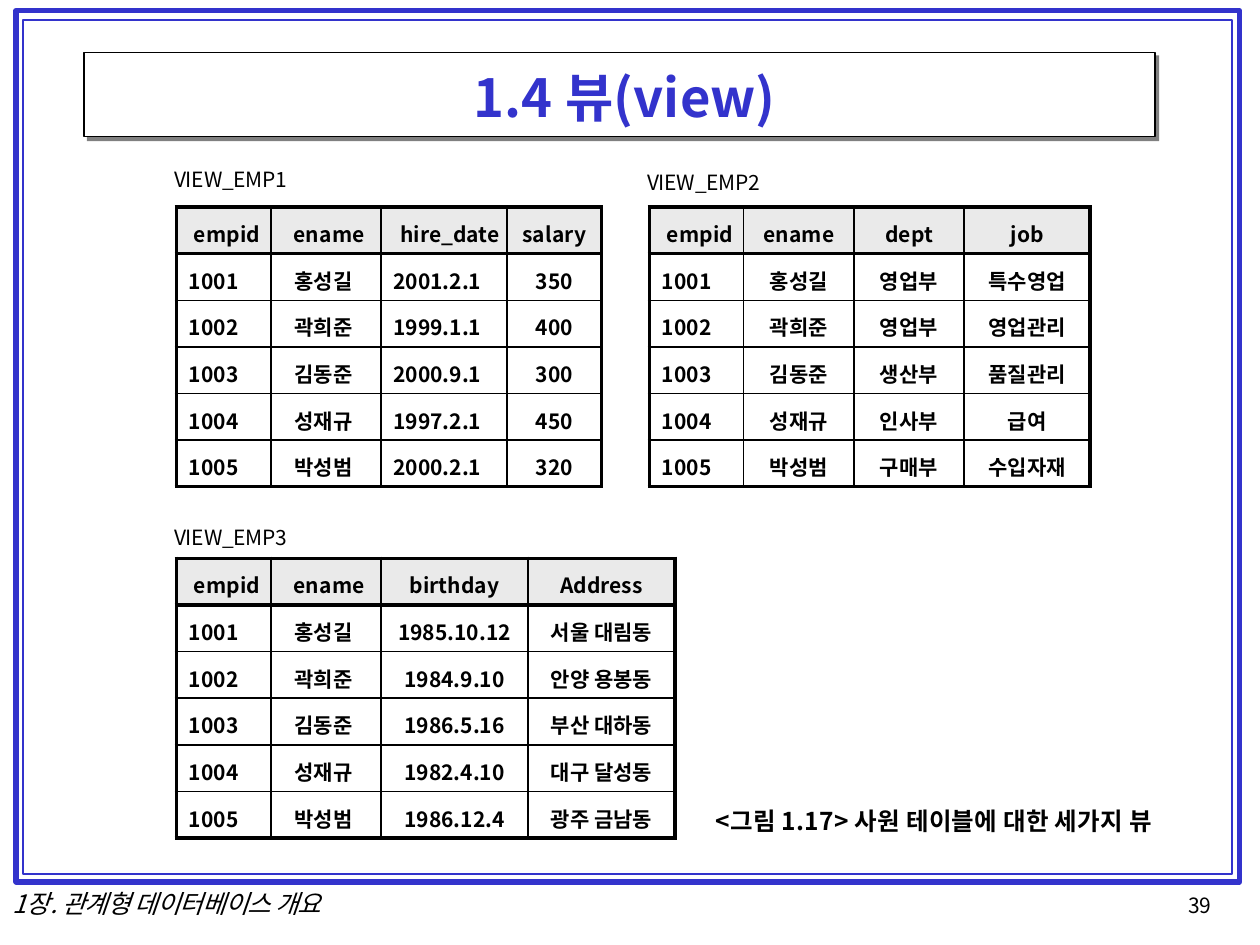
from collections import namedtuple

from pptx import Presentation
from pptx.dml.color import RGBColor
from pptx.enum import shapes, text
from pptx.oxml.ns import qn
from pptx.util import Pt
from lxml import etree

BLUE = RGBColor(0x33, 0x33, 0xCC)
BLACK = RGBColor(0x00, 0x00, 0x00)
SHADOW = RGBColor(0x80, 0x80, 0x80)
HEADER = RGBColor(0xEA, 0xEA, 0xEA)
FONT = "Noto Sans CJK KR"
THICK, THIN = 2.25, 1
ROW_HEIGHT = 26.65

# Indents are in points; None centres the text.
Column = namedtuple("Column", "title width values head_indent indent spacing",
                    defaults=(None, None, 0.1))

IDS = ["1001", "1002", "1003", "1004", "1005"]
NAMES = ["홍성길", "곽희준", "김동준", "성재규", "박성범"]
EMPID = Column("empid", 54, IDS, 10, 7)
ENAME = Column("ename", 63, NAMES, 13, 13.5)

VIEW_EMP1 = [
    EMPID, ENAME,
    Column("hire_date", 72,
           ["2001.2.1", "1999.1.1", "2000.9.1", "1997.2.1", "2000.2.1"], 11, 7, 0),
    Column("salary", 54, ["350", "400", "300", "450", "320"]),
]
VIEW_EMP2 = [
    EMPID, ENAME._replace(head_indent=None, indent=None),
    Column("dept", 63, ["영업부", "영업부", "생산부", "인사부", "구매부"]),
    Column("job", 72, ["특수영업", "영업관리", "품질관리", "급여", "수입자재"]),
]
VIEW_EMP3 = [
    EMPID, ENAME,
    Column("birthday", 84,
           ["1985.10.12", "1984.9.10", "1986.5.16", "1982.4.10", "1986.12.4"],
           spacing=0),
    Column("Address", 84,
           ["서울 대림동", "안양 용봉동", "부산 대하동", "대구 달성동", "광주 금남동"],
           spacing=0),
]


def write(tf, words, indent=0, spacing=0, color=BLACK, line=None, **fmt):
    """Fill the first paragraph; an indent of None centres it."""
    p = tf.paragraphs[0]
    p.alignment = text.PP_ALIGN.CENTER if indent is None else text.PP_ALIGN.LEFT
    if indent:
        p._p.get_or_add_pPr().set("marL", str(Pt(indent)))
    if line:
        p.line_spacing = Pt(line)
    r = p.add_run()
    r.text = words
    for key, value in {"name": FONT, **fmt}.items():
        setattr(r.font, key, value)
    r.font.color.rgb = color
    rPr = r._r.get_or_add_rPr()
    rPr.set("spc", str(round(spacing * 100)))
    rPr.find(qn("a:latin")).addnext(
        rPr.makeelement(qn("a:ea"), {"typeface": FONT}))


def set_frame(tf, top=0):
    tf.word_wrap = True
    tf.auto_size = text.MSO_AUTO_SIZE.NONE
    tf.vertical_anchor = text.MSO_ANCHOR.TOP
    for side, value in {"left": 0, "top": top, "right": 0, "bottom": 0}.items():
        setattr(tf, f"margin_{side}", Pt(value))


def add_label(s, box, words, top=1, **fmt):
    tf = s.shapes.add_textbox(*map(Pt, box)).text_frame
    set_frame(tf, top)
    write(tf, words, **fmt)


def add_outline(s, box, color, width):
    sp = s.shapes.add_shape(shapes.MSO_SHAPE.RECTANGLE, *map(Pt, box))
    sp.shadow.inherit = False
    sp.fill.background()
    sp.line.color.rgb = color
    sp.line.width = Pt(width)


def add_title_shadow(s):
    """Grey edge along the right and bottom of the title box."""
    points = [(662.4, 31.7), (662.4, 80.6), (49.7, 80.6),
              (49.7, 78), (660.2, 78), (660.2, 31.7)]
    builder = s.shapes.build_freeform(*map(Pt, points[0]), scale=1.0)
    builder.add_line_segments([(Pt(x), Pt(y)) for x, y in points[1:]], close=True)
    sp = builder.convert_to_shape()
    sp.shadow.inherit = False
    sp.fill.solid()
    sp.fill.fore_color.rgb = SHADOW
    sp.line.fill.background()


def set_title(s):
    sp = s.shapes.title
    sp.left, sp.top, sp.width, sp.height = map(Pt, (48, 36, 611, 38))
    set_frame(sp.text_frame, 1)
    write(sp.text_frame, "1.4 뷰(view)", indent=222.5, spacing=0.1, color=BLUE,
          size=Pt(30), bold=True)


def set_borders(cell, widths):
    tcPr = cell._tc.get_or_add_tcPr()
    for side in ("L", "R", "T", "B"):
        ln = etree.SubElement(tcPr, qn(f"a:ln{side}"), w=str(Pt(widths[side])))
        fill = etree.SubElement(ln, qn("a:solidFill"))
        etree.SubElement(fill, qn("a:srgbClr"), val=str(BLACK))


def add_view(s, left, top, columns):
    rows, cols = len(IDS) + 1, len(columns)
    width = sum(c.width for c in columns)
    table = s.shapes.add_table(rows, cols, Pt(left), Pt(top), Pt(width),
                               Pt(rows * ROW_HEIGHT)).table
    table.first_row = table.horz_banding = False
    for row in table.rows:
        row.height = Pt(ROW_HEIGHT)
    for j, column in enumerate(columns):
        table.columns[j].width = Pt(column.width)
        for i, words in enumerate([column.title, *column.values]):
            cell = table.cell(i, j)
            thick = {"L": j == 0, "R": j == cols - 1,
                     "T": i <= 1, "B": i in (0, rows - 1)}
            set_borders(cell, {k: THICK if v else THIN for k, v in thick.items()})
            if i == 0:
                cell.fill.solid()
                cell.fill.fore_color.rgb = HEADER
            else:
                cell.fill.background()
            for side, value in {"left": 0, "top": 6.5, "right": 0, "bottom": 0}.items():
                setattr(cell, f"margin_{side}", Pt(value))
            write(cell.text_frame, words, spacing=column.spacing,
                  indent=column.indent if i else column.head_indent,
                  size=Pt(12), bold=True)


def main():
    prs = Presentation()
    prs.slide_width, prs.slide_height = Pt(720), Pt(540)
    s = prs.slides.add_slide(prs.slide_layouts[5])

    add_outline(s, (9.2, 6, 699, 498), BLUE, 3)
    add_outline(s, (13.2, 11.5, 691, 488), BLUE, 1)
    add_title_shadow(s)
    add_outline(s, (48, 30, 612, 48), BLACK, 0.75)
    set_title(s)

    views = [("VIEW_EMP1", 100.8, 118.3, 94.3, VIEW_EMP1),
             ("VIEW_EMP2", 371, 118.3, 95.8, VIEW_EMP2),
             ("VIEW_EMP3", 100.8, 319, 298.8, VIEW_EMP3)]
    for name, left, top, label_top, columns in views:
        add_label(s, (left - 2, label_top, 70, 17), name, indent=0.7,
                  spacing=-0.1, size=Pt(12))
        add_view(s, left, top, columns)

    add_label(s, (408.2, 459.4, 270, 19), "<그림 1.17> 사원 테이블에 대한 세가지 뷰",
              indent=0.7, spacing=0.15, size=Pt(14), bold=True)
    add_label(s, (6.5, 508.3, 198, 17), "1장. 관계형 데이터베이스 개요", top=0,
              indent=0.7, spacing=-0.45, line=16.6, size=Pt(14.5), italic=True)
    add_label(s, (676, 510.5, 21, 14), "39", top=0, indent=2.9, line=13.7,
              size=Pt(12))
    prs.save("out.pptx")


if __name__ == "__main__":
    main()
